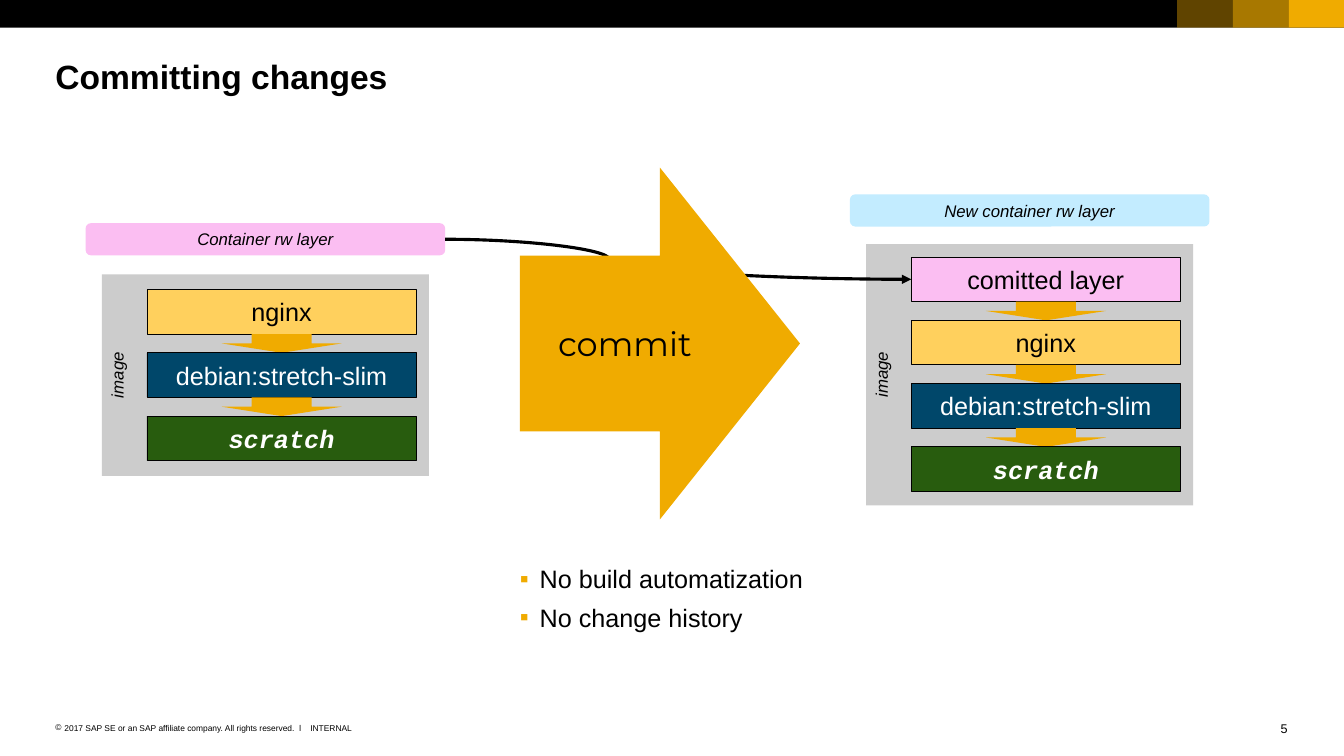
"""Build the slide on committing container changes into a new image layer."""
from lxml import etree
from pptx import Presentation
from pptx.dml.color import RGBColor
from pptx.enum.shapes import MSO_CONNECTOR, MSO_SHAPE
from pptx.enum.text import MSO_ANCHOR, PP_ALIGN
from pptx.oxml.ns import qn
from pptx.util import Pt

RECT, ROUND = MSO_SHAPE.RECTANGLE, MSO_SHAPE.ROUNDED_RECTANGLE
DOWN, RIGHT = MSO_SHAPE.DOWN_ARROW, MSO_SHAPE.RIGHT_ARROW
CURVE = MSO_CONNECTOR.CURVE
MIDDLE = MSO_ANCHOR.MIDDLE
TO_LEFT, TO_RIGHT, CENTER = PP_ALIGN.LEFT, PP_ALIGN.RIGHT, PP_ALIGN.CENTER

BLACK = RGBColor(0x00, 0x00, 0x00)
WHITE = RGBColor(0xFF, 0xFF, 0xFF)
GOLD = RGBColor(0xF0, 0xAB, 0x00)
YELLOW = RGBColor(0xFF, 0xD0, 0x5D)
BLUE = RGBColor(0x00, 0x47, 0x6A)
GREEN = RGBColor(0x28, 0x5C, 0x0E)
PINK = RGBColor(0xFB, 0xBE, 0xF2)
SKY = RGBColor(0xC3, 0xEC, 0xFF)
GRAY = RGBColor(0xCC, 0xCC, 0xCC)

deck = Presentation()
deck.slide_width, deck.slide_height = Pt(960.48), Pt(540)
slide = deck.slides.add_slide(deck.slide_layouts[6])
shapes = slide.shapes


def block(kind, x, y, w, h, fill, edge=False):
    """Add a filled shape, with a thin black edge if asked."""
    shape = shapes.add_shape(kind, Pt(x), Pt(y), Pt(w), Pt(h))
    shape.shadow.inherit = False
    shape.fill.solid()
    shape.fill.fore_color.rgb = fill
    if edge:
        shape.line.color.rgb = BLACK
        shape.line.width = Pt(0.5)
    else:
        shape.line.fill.background()
    return shape


def label(shape, text, size, face="Arial", ink=BLACK, bold=False, italic=False):
    """Write centred text into a shape."""
    frame = shape.text_frame
    frame.text = text
    frame.word_wrap = True
    frame.vertical_anchor = MIDDLE
    frame.margin_top = frame.margin_bottom = Pt(5.76)
    para = frame.paragraphs[0]
    para.alignment = CENTER
    font = para.runs[0].font
    font.name, font.size, font.color.rgb = face, Pt(size), ink
    font.bold, font.italic = bold, italic


block(RECT, 0, 0, 960.48, 19.8, BLACK)
for step, alpha in enumerate((40, 70, 100)):
    tile = block(RECT, 841.2 + step * 39.76, 0, 39.76, 19.8, GOLD)
    if alpha < 100:
        color = tile.fill._xPr.find(qn("a:solidFill"))[0]
        etree.SubElement(color, qn("a:alpha"), val=str(alpha * 1000))

LAYERS = [
    ("comitted layer", PINK, BLACK),
    ("nginx", YELLOW, BLACK),
    ("debian:stretch-slim", BLUE, WHITE),
    ("scratch", GREEN, WHITE),
]
STACKS = [
    (72.8, 196, 144, 206.8, LAYERS[1:], "Container rw layer", PINK, 159.4),
    (619, 174.4, 186.6, 183.6, LAYERS, "New container rw layer", SKY, 138.8),
]
STEP, TALL = 45.2, 31.8
tags, tops = [], []
for left, top, height, first, layers, title, tint, high in STACKS:
    panel = block(RECT, left, top, 233.8, height, GRAY)
    label(panel, "image", 12, italic=True)
    panel.text_frame.vertical_anchor = MSO_ANCHOR.TOP
    panel.text_frame._txBody.bodyPr.set("vert", "vert270")
    for row, (name, fill, ink) in enumerate(layers):
        y = first + row * STEP
        box = block(RECT, left + 32.2, y, 192.4, TALL, fill, True)
        base = name == "scratch"
        face = "Courier New" if base else "Arial"
        label(box, name, 18, face, ink, base, base)
        if row == 0:
            tops.append(box)
        if not base:
            block(DOWN, left + 85.6, y + TALL, 85.8, STEP - TALL, GOLD)
    tag = block(ROUND, left - 11.6, high, 257, 23, tint)
    label(tag, title, 12, italic=True)
    tags.append(tag)

link = shapes.add_connector(CURVE, Pt(318.2), Pt(170.9), Pt(651.2), Pt(199.5))
link.begin_connect(tags[0], 3)
link.end_connect(tops[1], 1)
link.line.color.rgb = BLACK
link.line.width = Pt(2.25)
props = link._element.spPr
etree.SubElement(props.find(qn("a:ln")), qn("a:tailEnd"), type="triangle")
etree.SubElement(props, qn("a:effectLst"))
bends = props.find(qn("a:prstGeom")).find(qn("a:avLst"))
etree.SubElement(bends, qn("a:gd"), name="adj1", fmla="val 35200")

commit = block(RIGHT, 371.5, 119.7, 200.2, 251.3, GOLD)
label(commit, "commit", 24, "Montserrat")

RIGHTS = "2017 SAP SE or an SAP affiliate company. All rights reserved.  ǀ"
POINTS = "No build automatization\nNo change history"
TEXTS = [
    (39.6, 39.6, 880.6, 28.8, "Committing changes", 24, TO_LEFT, None),
    (371.5, 402.5, 206.6, 58.3, POINTS, 18, TO_LEFT, ("▪", GOLD, 14.2)),
    (39.6, 516.2, 178.6, 7.2, RIGHTS, 6, TO_LEFT, ("©", BLACK, 6.5)),
    (221.8, 516.2, 36, 7.2, "INTERNAL", 6, TO_LEFT, None),
    (909.4, 514.8, 10.8, 10.8, "5", 9, TO_RIGHT, None),
]
for x, y, w, h, text, size, align, mark in TEXTS:
    frame = shapes.add_textbox(Pt(x), Pt(y), Pt(w), Pt(h)).text_frame
    frame.margin_left = frame.margin_right = 0
    frame.margin_top = frame.margin_bottom = 0
    frame.word_wrap = True
    frame.text = text
    for row, para in enumerate(frame.paragraphs):
        if mark:
            sign, tone, dent = mark
            props = para._p.get_or_add_pPr()
            props.set("marL", str(Pt(dent)))
            props.set("indent", str(-Pt(dent)))
            hue = etree.SubElement(props, qn("a:buClr"))
            etree.SubElement(hue, qn("a:srgbClr"), val=str(tone))
            etree.SubElement(props, qn("a:buFont"), typeface="Arial")
            etree.SubElement(props, qn("a:buChar"), char=sign)
        para.alignment = align
        if row:
            para.space_before = Pt(6)
        font = para.runs[0].font
        font.name, font.size, font.color.rgb = "Arial", Pt(size), BLACK
        font.bold = size == 24

deck.save("out.pptx")
